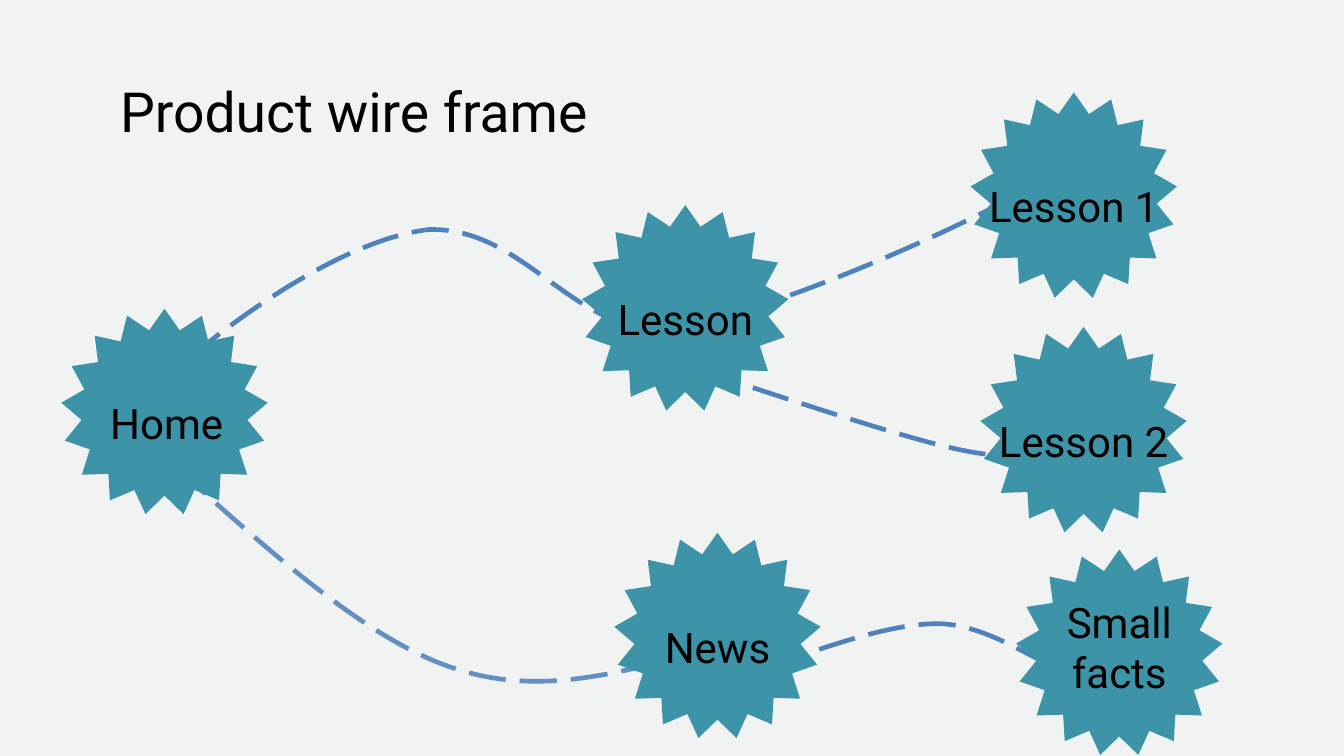
from dataclasses import dataclass
from math import cos, pi, sin

from lxml import etree
from pptx import Presentation
from pptx.dml.color import RGBColor
from pptx.enum.dml import MSO_LINE
from pptx.enum.text import MSO_ANCHOR, MSO_AUTO_SIZE, PP_ALIGN
from pptx.oxml.ns import qn
from pptx.shapes.autoshape import Shape
from pptx.slide import Slide
from pptx.util import Emu, Pt

CENTER = PP_ALIGN.CENTER
TOP = MSO_ANCHOR.TOP
GROW = MSO_AUTO_SIZE.SHAPE_TO_FIT_TEXT
LONG_DASH = MSO_LINE.LONG_DASH

EMU_PER_PX = 9525
TITLE_ONLY = 5
FONT = "Roboto"
BLACK = "000000"
BACKGROUND = "F1F2F2"
TEAL = "3D93A7"
BLUE = "4F81BD"
PALE_BLUE = "638FC3"
STAR_POINTS = 17
STAR_OUTER = 148
STAR_INNER = 119
LINE_PITCH = 82.8

Point = tuple[int, int]


@dataclass
class Node:
    label: str
    center_x: int
    center_y: int
    label_shift: int = 0
    label_rise: int = 60
    label_width: int = 311
    label_height: int = 84
    line_pitch: float | None = LINE_PITCH


@dataclass
class Link:
    points: list[Point]
    color: str = BLUE


NODES = [
    Node("Home", 235, 589, label_shift=3),
    Node("Lesson", 979, 441),
    Node("Lesson 1", 1534, 280),
    Node("Lesson 2", 1548, 615),
    Node("News", 1025, 909),
    Node("Small facts", 1599, 933, label_rise=81, label_width=247,
         label_height=145, line_pitch=None),
]

LINKS = [
    Link([(1101, 951), (1187, 922), (1272, 891), (1339, 891), (1406, 891),
          (1473, 941), (1505, 951), (1539, 963), (1537, 961), (1536, 958)]),
    Link([(254, 670), (383, 786), (513, 903), (630, 948), (748, 994),
          (853, 968), (960, 942)], PALE_BLUE),
    Link([(1006, 531), (1134, 573), (1261, 615), (1339, 635), (1418, 655),
          (1447, 652), (1476, 648)]),
    Link([(272, 510), (381, 420), (512, 340), (612, 328), (746, 324),
          (812, 468), (946, 473), (1045, 459), (1260, 380), (1451, 280)]),
]


def px(length: float) -> Emu:
    return Emu(round(length * EMU_PER_PX))


def rgb(color: str) -> RGBColor:
    return RGBColor.from_string(color)


def draw_outline(page: Slide, points: list[tuple[float, float]], close: bool) -> Shape:
    start, *rest = [(px(x), px(y)) for x, y in points]
    builder = page.shapes.build_freeform(*start)
    builder.add_line_segments(rest, close=close)
    outline = builder.convert_to_shape()
    outline.shadow.inherit = False
    return outline


def draw_link(page: Slide, link: Link) -> None:
    curve = draw_outline(page, link.points, close=False)
    segments = list(curve.element.iter(qn("a:lnTo")))
    for first in range(0, len(segments), 3):
        bezier = etree.SubElement(segments[first].getparent(), qn("a:cubicBezTo"))
        for segment in segments[first:first + 3]:
            bezier.append(segment[0])
            segment.getparent().remove(segment)
    curve.fill.background()
    curve.line.color.rgb = rgb(link.color)
    curve.line.width = Pt(5)
    curve.line.dash_style = LONG_DASH


def write_text(box: Shape, text: str, size: float, line_pitch: float | None) -> None:
    frame = box.text_frame
    frame.word_wrap = True
    frame.auto_size = GROW
    frame.vertical_anchor = TOP
    frame.margin_left = frame.margin_right = 0
    frame.margin_top = frame.margin_bottom = 0
    para = frame.paragraphs[0]
    para.alignment = CENTER
    if line_pitch:
        para.line_spacing = Pt(line_pitch)
    span = para.add_run()
    span.text = text
    span.font.name = FONT
    span.font.size = Pt(size)
    span.font.color.rgb = rgb(BLACK)


def draw_node(page: Slide, node: Node) -> None:
    corners = []
    for index in range(2 * STAR_POINTS):
        radius = STAR_INNER if index % 2 else STAR_OUTER
        angle = index * pi / STAR_POINTS
        corners.append((node.center_x + radius * sin(angle),
                        node.center_y - radius * cos(angle)))
    star = draw_outline(page, corners, close=True)
    star.fill.solid()
    star.fill.fore_color.rgb = rgb(TEAL)
    star.line.fill.background()

    left = node.center_x - node.label_width / 2 + node.label_shift
    box = page.shapes.add_textbox(px(left), px(node.center_y - node.label_rise),
                                  px(node.label_width), px(node.label_height))
    write_text(box, node.label, 45, node.line_pitch)


def main() -> None:
    deck = Presentation()
    deck.slide_width, deck.slide_height = px(1920), px(1080)
    page = deck.slides.add_slide(deck.slide_layouts[TITLE_ONLY])
    page.background.fill.solid()
    page.background.fill.fore_color.rgb = rgb(BACKGROUND)

    title = page.shapes.title
    title.left, title.top = px(108), px(94)
    title.width, title.height = px(795), px(108)
    write_text(title, "Product wire frame", 59.2, LINE_PITCH)

    for link in LINKS:
        draw_link(page, link)
    for node in NODES:
        draw_node(page, node)
    deck.save("out.pptx")


if __name__ == "__main__":
    main()
